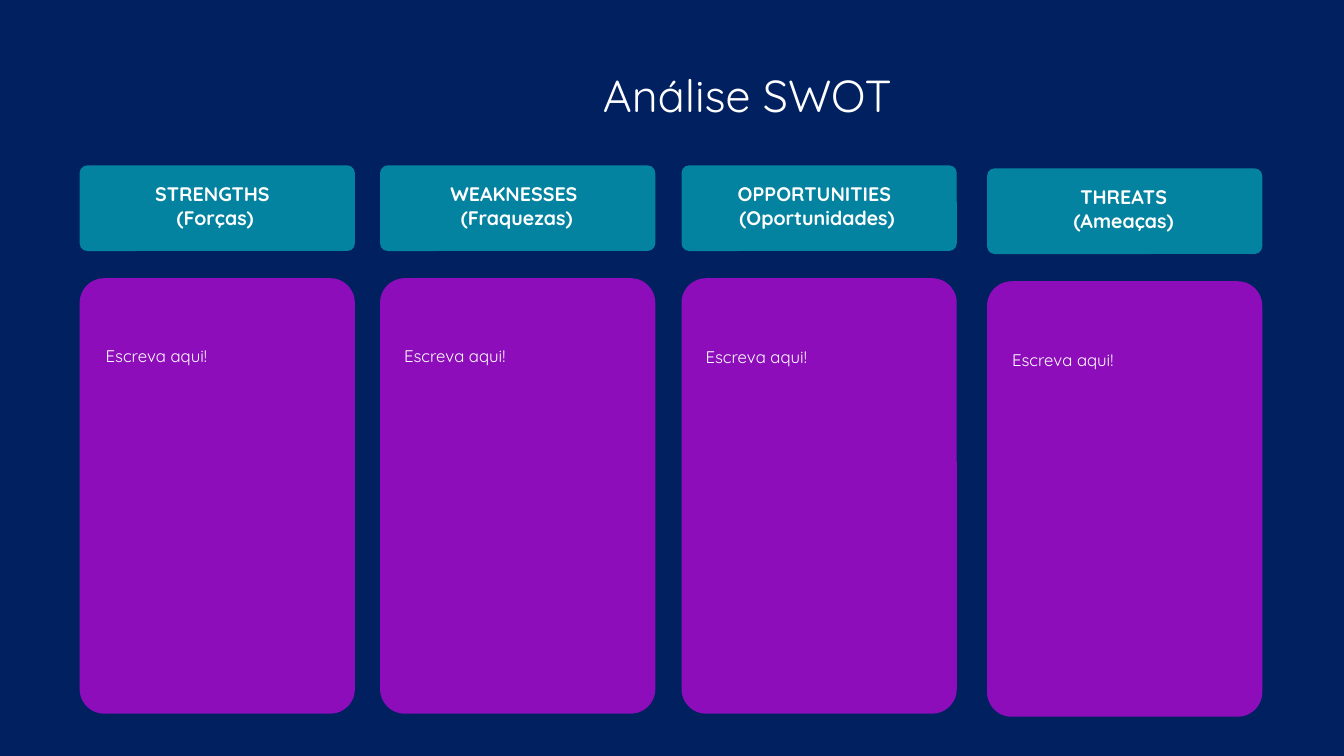
from pptx import Presentation
from pptx.dml.color import RGBColor
from pptx.enum.shapes import MSO_SHAPE
from pptx.enum.text import MSO_ANCHOR, PP_ALIGN
from pptx.util import Inches, Pt

SLIDE_W, SLIDE_H = 13.33, 7.5
NAVY, TEAL, PURPLE, WHITE = "002060", "0483A0", "8D0DBA", "FFFFFF"
FONT = "Quicksand"
CARD_W, HEADER_H, PANEL_H = 2.73, 0.85, 4.32
PANEL_DROP = 1.12  # from header top to panel top
CORNER = 0.089
PROMPT = "Escreva aqui!"

# heading lines, card left, card top, heading shift, prompt left and top in card
COLUMNS = [
    (["STRENGTHS\u00a0", "(Forças)"], 0.79, 1.64, -0.04, 0.16, 1.74),
    (["WEAKNESSES\u00a0", "(Fraquezas)"], 3.77, 1.64, -0.03, 0.14, 1.74),
    (["OPPORTUNITIES\u00a0", "(Oportunidades)"], 6.76, 1.64, -0.04, 0.14, 1.75),
    (["THREATS", "(Ameaças)"], 9.79, 1.67, -0.03, 0.15, 1.75),
]


def paint(fill, color):
    """Make a fill solid in a hex colour."""
    fill.solid()
    fill.fore_color.rgb = RGBColor.from_string(color)


def write(frame, lines, size, bold=False, align=PP_ALIGN.LEFT):
    """Write one paragraph per line in the slide's font."""
    frame.word_wrap = True
    frame.vertical_anchor = MSO_ANCHOR.TOP
    for i, line in enumerate(lines):
        paragraph = frame.paragraphs[0] if i == 0 else frame.add_paragraph()
        paragraph.alignment = align
        run = paragraph.add_run()
        run.text = line
        run.font.name, run.font.size, run.font.bold = FONT, Pt(size), bold
        paint(run.font.fill, WHITE)


def add_card(slide, box, color):
    """Add a borderless rounded card in the given box."""
    card = slide.shapes.add_shape(MSO_SHAPE.ROUNDED_RECTANGLE, *map(Inches, box))
    card.adjustments[0] = CORNER
    card.shadow.inherit = False
    card.line.fill.background()
    paint(card.fill, color)


def add_text(slide, box, lines, size, **style):
    """Add a text box in the given box."""
    text_box = slide.shapes.add_textbox(*map(Inches, box))
    write(text_box.text_frame, lines, size, **style)


def add_title(slide, box, text):
    """Place and format the title placeholder."""
    title = slide.shapes.title
    title.left, title.top, title.width, title.height = map(Inches, box)
    write(title.text_frame, [text], 32)


def add_column(slide, left, top, heading, shift, prompt_x, prompt_y):
    """Add a header, a panel and their texts from the column's corner."""
    add_card(slide, (left, top, CARD_W, HEADER_H), TEAL)
    add_card(slide, (left, top + PANEL_DROP, CARD_W, PANEL_H), PURPLE)
    add_text(slide, (left + shift, top + 0.12, 2.77, 0.57), heading, 14,
             bold=True, align=PP_ALIGN.CENTER)
    add_text(slide, (left + prompt_x, top + prompt_y, 2.4, 0.3), [PROMPT], 12)


def build_swot(prs):
    """Build the SWOT slide: a title over four columns."""
    slide = prs.slides.add_slide(prs.slide_layouts[5])
    paint(slide.background.fill, NAVY)
    add_title(slide, (5.88, 0.62, 3.2, 0.64), "Análise SWOT")
    for heading, left, top, shift, prompt_x, prompt_y in COLUMNS:
        add_column(slide, left, top, heading, shift, prompt_x, prompt_y)


prs = Presentation()
prs.slide_width, prs.slide_height = Inches(SLIDE_W), Inches(SLIDE_H)
build_swot(prs)
prs.save("out.pptx")
